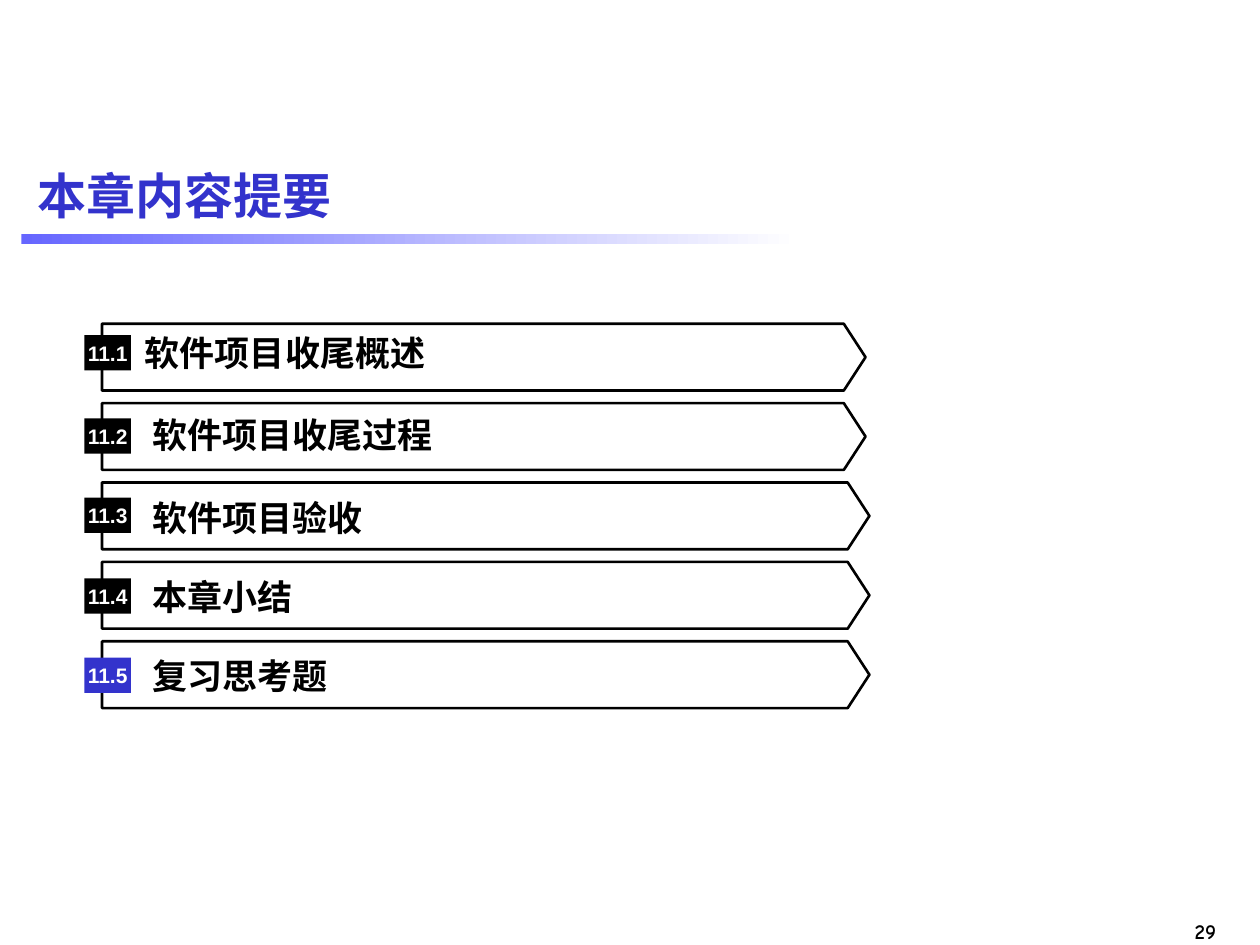
from lxml.etree import SubElement
from pptx import Presentation
from pptx.dml.color import RGBColor
from pptx.enum.shapes import MSO_SHAPE
from pptx.enum.text import MSO_ANCHOR, PP_ALIGN
from pptx.oxml.ns import qn
from pptx.util import Inches, Pt

BLACK = RGBColor(0, 0, 0)
WHITE = RGBColor(255, 255, 255)
BLUE = RGBColor(0x33, 0x33, 0xCC)
LIGHT = RGBColor(0x66, 0x66, 0xFF)
CJK = "Noto Sans CJK SC"

TITLE = "本章内容提要"
PAGE = "29"
# number, topic, tag colour, arrow width, text inset, text drop, tag drop
ROWS = [
    ("11.1", "软件项目收尾概述", BLACK, 6.06, 0.06, 0.06, 0.09),
    ("11.2", "软件项目收尾过程", BLACK, 6.06, 0.12, 0.08, 0.12),
    ("11.3", "软件项目验收", BLACK, 6.09, 0.12, 0.11, 0.12),
    ("11.4", "本章小结", BLACK, 6.09, 0.12, 0.11, 0.13),
    ("11.5", "复习思考题", BLUE, 6.09, 0.12, 0.11, 0.13),
]
TOP, STEP, HIGH = 2.57, 0.63, 0.53


def box(*sizes):
    return [Inches(size) for size in sizes]


def write(shape, text, size, color=BLACK, font="Arial",
          align=PP_ALIGN.LEFT, wrap=True, inset=None):
    """Set one bold line; inset is the left margin, the others become 0."""
    frame = shape.text_frame
    frame.word_wrap = wrap
    frame.vertical_anchor = MSO_ANCHOR.MIDDLE
    if inset is not None:
        frame.margin_left = Inches(inset)
        frame.margin_top = frame.margin_right = frame.margin_bottom = 0
    line = frame.paragraphs[0]
    line.alignment = align
    line.space_before = Pt(0)
    run = line.add_run()
    run.text = text
    run.font.name = font
    run.font.size = Pt(size)
    run.font.bold = True
    run.font.color.rgb = color
    SubElement(run.font._element, qn("a:ea")).set("typeface", CJK)


def draw(shapes, kind, area):
    shape = shapes.add_shape(kind, *box(*area))
    shape.shadow.inherit = False
    shape.line.fill.background()
    return shape


def add_row(slide, top, row):
    num, topic, color, width, inset, drop, dip = row
    shapes = slide.shapes.add_group_shape().shapes
    arrow = draw(shapes, MSO_SHAPE.PENTAGON, (0.81, top, width, HIGH))
    arrow.adjustments[0] = 0.325
    arrow.fill.background()
    arrow.line.color.rgb = BLACK
    arrow.line.width = Pt(1.5)
    label = shapes.add_textbox(*box(1.09, top + drop, 5.4, 0.33))
    write(label, topic, 20, inset=inset)
    tag = draw(shapes, MSO_SHAPE.RECTANGLE, (0.67, top + dip, 0.37, 0.28))
    tag.fill.solid()
    tag.fill.fore_color.rgb = color
    write(tag, num, 12, WHITE, align=PP_ALIGN.CENTER, inset=0)


def main():
    deck = Presentation()
    deck.slide_width, deck.slide_height = box(10, 7.5)
    slide = deck.slides.add_slide(deck.slide_layouts[5])

    bar = draw(slide.shapes, MSO_SHAPE.RECTANGLE, (0.17, 1.86, 6.17, 0.08))
    bar.fill.gradient()
    bar.fill.gradient_angle = 0
    for stop, color in zip(bar.fill.gradient_stops, (LIGHT, WHITE)):
        stop.color.rgb = color

    title = slide.shapes.title
    title.left, title.top, title.width, title.height = box(0.2, 1.15, 9.61, 0.79)
    write(title, TITLE, 28, BLUE)

    for i, row in enumerate(ROWS):
        add_row(slide, TOP + STEP * i, row)

    page = slide.shapes.add_textbox(*box(9.2, 7.24, 0.55, 0.3))
    write(page, PAGE, 12, font="Comic Neue", align=PP_ALIGN.RIGHT, wrap=False)
    deck.save("out.pptx")


if __name__ == "__main__":
    main()
